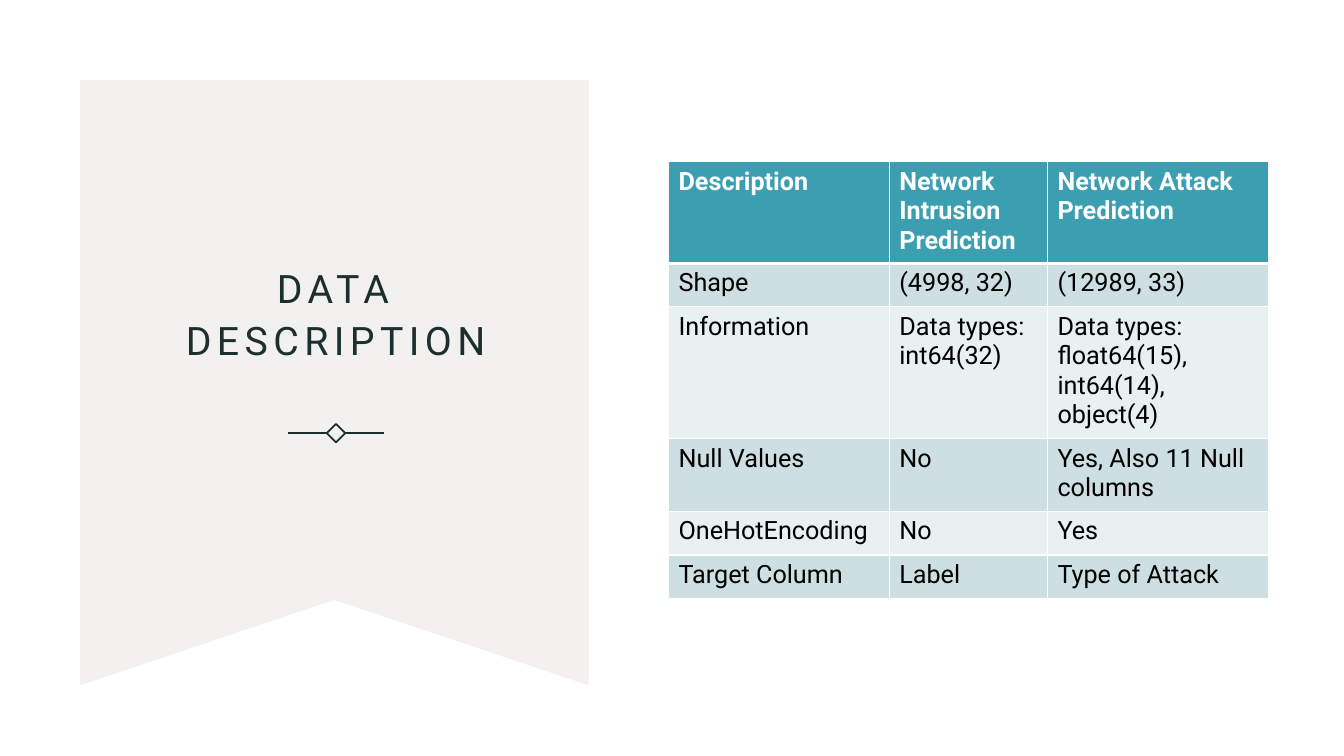
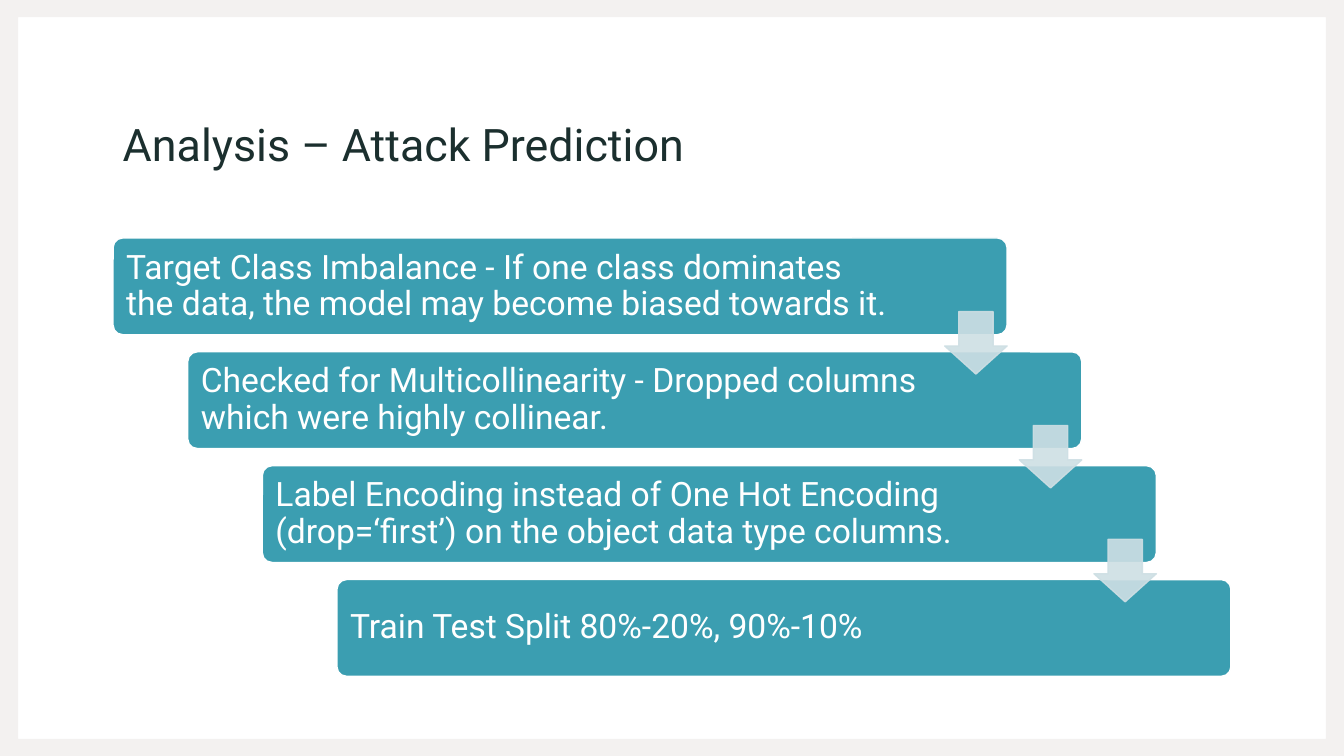
from itertools import pairwise

from lxml import etree
from pptx import Presentation
from pptx import util as u
from pptx.dml.color import RGBColor
from pptx.enum import shapes, text
from pptx.oxml import ns

WIDTH, HEIGHT = 960, 540
COLORS = {
    "white": "FFFFFF",
    "black": "000000",
    "stone": "F3F1F0",
    "ink": "1B2F2E",
    "teal": "3B9EB1",
    "mist": "CEDFE4",
    "pale": "E8F0F2",
}
FONT = "Roboto"
TITLE = {"size": 32, "color": "ink"}
RIBBON_TITLE = {"size": 28, "color": "ink"}
TABLE_HEADER = {"size": 18, "color": "white", "bold": True}
TABLE_BODY = {"size": 18, "color": "black", "bold": False}
STEP = {"size": 24, "color": "white"}

COLUMN_WIDTHS = [157.7, 113, 157.7]
ROW_HEIGHTS = [72.7, 31, 94.3, 52, 31, 31]
DATA_ROWS = [
    ["Description", "Network Intrusion Prediction", "Network Attack Prediction"],
    ["Shape", "(4998, 32)", "(12989, 33)"],
    ["Information", "Data types: int64(32)",
     "Data types: float64(15), int64(14), object(4)"],
    ["Null Values", "No", "Yes, Also 11 Null columns"],
    ["OneHotEncoding", "No", "Yes"],
    ["Target Column", "Label", "Type of Attack"],
]
STEPS = [
    "Target Class Imbalance - If one class dominates the data, "
    "the model may become biased towards it.",
    "Checked for Multicollinearity - Dropped columns which were highly collinear.",
    "Label Encoding instead of One Hot Encoding (drop=‘first’) "
    "on the object data type columns.",
    "Train Test Split 80%-20%, 90%-10%",
]


def rgb(name):
    return RGBColor.from_string(COLORS[name])


def points(*lengths):
    return [u.Pt(length) for length in lengths]


def sub_element(parent, tag, **attributes):
    return etree.SubElement(parent, ns.qn(tag), attributes)


def set_attributes(target, values):
    for name, value in values.items():
        setattr(target, name, value)


def write(frame, words, style, **paragraph_format):
    """Fill a text frame with one paragraph and return its run."""
    paragraph = frame.paragraphs[0]
    set_attributes(paragraph, paragraph_format)
    run = paragraph.add_run()
    run.text = words
    font = {**style, "name": FONT, "size": u.Pt(style["size"])}
    run.font.color.rgb = rgb(font.pop("color"))
    set_attributes(run.font, font)
    return run


def paint(shape, fill=None, line=None, weight=1):
    shape.shadow.inherit = False
    if fill:
        shape.fill.solid()
        shape.fill.fore_color.rgb = rgb(fill)
    else:
        shape.fill.background()
    if line:
        shape.line.color.rgb = rgb(line)
        shape.line.width = u.Pt(weight)
    else:
        shape.line.fill.background()


def add_outline(slide, contours, fill):
    """Draw closed contours as one shape; an inner contour becomes a hole."""
    builder = None
    for start, *corners in contours:
        if builder is None:
            builder = slide.shapes.build_freeform(*points(*start), scale=1.0)
        else:
            builder.move_to(*points(*start))
        builder.add_line_segments([points(*corner) for corner in corners])
    paint(builder.convert_to_shape(), fill)


def add_title(slide, box, words, style, align=text.PP_ALIGN.LEFT):
    frame = slide.shapes.add_textbox(*points(*box)).text_frame
    set_attributes(frame, {"word_wrap": True,
                           "vertical_anchor": text.MSO_ANCHOR.BOTTOM})
    return write(frame, words, style, alignment=align, line_spacing=1.1)


def add_page_frame(slide, margin_x=13, margin_y=12.2):
    right, bottom = WIDTH - margin_x, HEIGHT - margin_y
    outer = [(0, 0), (WIDTH, 0), (WIDTH, HEIGHT), (0, HEIGHT)]
    inner = [(margin_x, margin_y), (margin_x, bottom),
             (right, bottom), (right, margin_y)]
    add_outline(slide, [outer, inner], "stone")


def add_ornament(slide, center_x, center_y, reach=34.2, radius=6.6):
    """Draw a small diamond between two short lines."""
    diamond = slide.shapes.add_shape(
        shapes.MSO_SHAPE.DIAMOND,
        *points(center_x - radius, center_y - radius, 2 * radius, 2 * radius))
    paint(diamond, line="ink", weight=1.25)
    for side in (-1, 1):
        line = slide.shapes.add_connector(
            shapes.MSO_CONNECTOR.STRAIGHT,
            *points(center_x + side * radius, center_y,
                    center_x + side * reach, center_y))
        line.line.color.rgb = rgb("ink")
        line.line.width = u.Pt(1.25)
        sub_element(line._element.spPr, "a:effectLst")


def add_ribbon(slide, box, words):
    left, top, width, height = box
    right, bottom = left + width, top + height
    notch = (left + width / 2, bottom - 61)
    add_outline(slide, [[(left, top), (right, top), (right, bottom),
                         notch, (left, bottom)]], "stone")
    run = add_title(slide, (left + 28, top + 27.2, 309.6, 178.6), words,
                    RIBBON_TITLE, text.PP_ALIGN.CENTER)
    run._r.get_or_add_rPr().set("spc", "390")
    add_ornament(slide, left + 183, top + 252.4)


def add_cell_borders(cell, **weights):
    properties = cell._tc.get_or_add_tcPr()
    for side in "LRTB":
        border = sub_element(properties, f"a:ln{side}",
                             w=str(u.Pt(weights.get(side, 1))))
        fill = sub_element(border, "a:solidFill")
        sub_element(fill, "a:srgbClr", val=COLORS["white"])


def add_data_table(slide, left, top):
    table = slide.shapes.add_table(
        len(ROW_HEIGHTS), len(COLUMN_WIDTHS),
        *points(left, top, sum(COLUMN_WIDTHS), sum(ROW_HEIGHTS))).table
    table.horz_banding = False
    for column, width in zip(table.columns, COLUMN_WIDTHS):
        column.width = u.Pt(width)
    for row, height in zip(table.rows, ROW_HEIGHTS):
        row.height = u.Pt(height)
    header_rule = {0: {"B": 3}, 1: {"T": 3}}
    for i, row in enumerate(DATA_ROWS):
        fill = "teal" if i == 0 else ("pale", "mist")[i % 2]
        for j, words in enumerate(row):
            cell = table.cell(i, j)
            add_cell_borders(cell, **header_rule.get(i, {}))
            cell.fill.solid()
            cell.fill.fore_color.rgb = rgb(fill)
            write(cell.text_frame, words, TABLE_BODY if i else TABLE_HEADER)


def add_step(slide, box, words):
    shape = slide.shapes.add_shape(shapes.MSO_SHAPE.ROUNDED_RECTANGLE, *points(*box))
    shape.adjustments[0] = 0.1
    paint(shape, "teal", "white")
    frame = shape.text_frame
    set_attributes(frame, {
        "word_wrap": True,
        "vertical_anchor": text.MSO_ANCHOR.MIDDLE,
        "margin_left": u.Pt(7.4),
        "margin_right": u.Pt(80),
    })
    write(frame, words, STEP, alignment=text.PP_ALIGN.LEFT, line_spacing=0.9)


def add_step_arrow(slide, right, top, size=44.6):
    arrow = slide.shapes.add_shape(shapes.MSO_SHAPE.DOWN_ARROW,
                                   *points(right - size, top, size, size))
    arrow.adjustments[0], arrow.adjustments[1] = 0.55, 0.45
    paint(arrow, "mist", "mist")
    for color in arrow._element.spPr.iter(ns.qn("a:srgbClr")):
        sub_element(color, "a:alpha", val="90000")


def add_staircase(slide, box, step_width=638.6, step_height=69.1):
    """Spread the steps evenly from the top left to the bottom right of the box."""
    left, top, width, height = box
    gaps = len(STEPS) - 1
    shift_x, shift_y = (width - step_width) / gaps, (height - step_height) / gaps
    corners = [(left + i * shift_x, top + i * shift_y) for i in range(len(STEPS))]
    for (x, y), words in zip(corners, STEPS):
        add_step(slide, (x, y, step_width, step_height), words)
    for (x, y), (_, next_y) in pairwise(corners):
        overlap = (y + step_height + next_y) / 2
        add_step_arrow(slide, x + step_width, overlap - 22.6)


def build_description_slide(slide):
    add_ribbon(slide, (57, 57, 363.5, 432.5), "DATA DESCRIPTION")
    add_data_table(slide, 477.5, 115.5)


def build_analysis_slide(slide):
    add_page_frame(slide)
    add_title(slide, (80.6, 57, 798, 68.4), "Analysis – Attack Prediction", TITLE)
    add_staircase(slide, (80.8, 170, 798.5, 313.1))


def main():
    presentation = Presentation()
    set_attributes(presentation, {"slide_width": u.Pt(WIDTH),
                                  "slide_height": u.Pt(HEIGHT)})
    blank = presentation.slide_layouts[6]
    for build in (build_description_slide, build_analysis_slide):
        build(presentation.slides.add_slide(blank))
    presentation.save("out.pptx")


if __name__ == "__main__":
    main()
